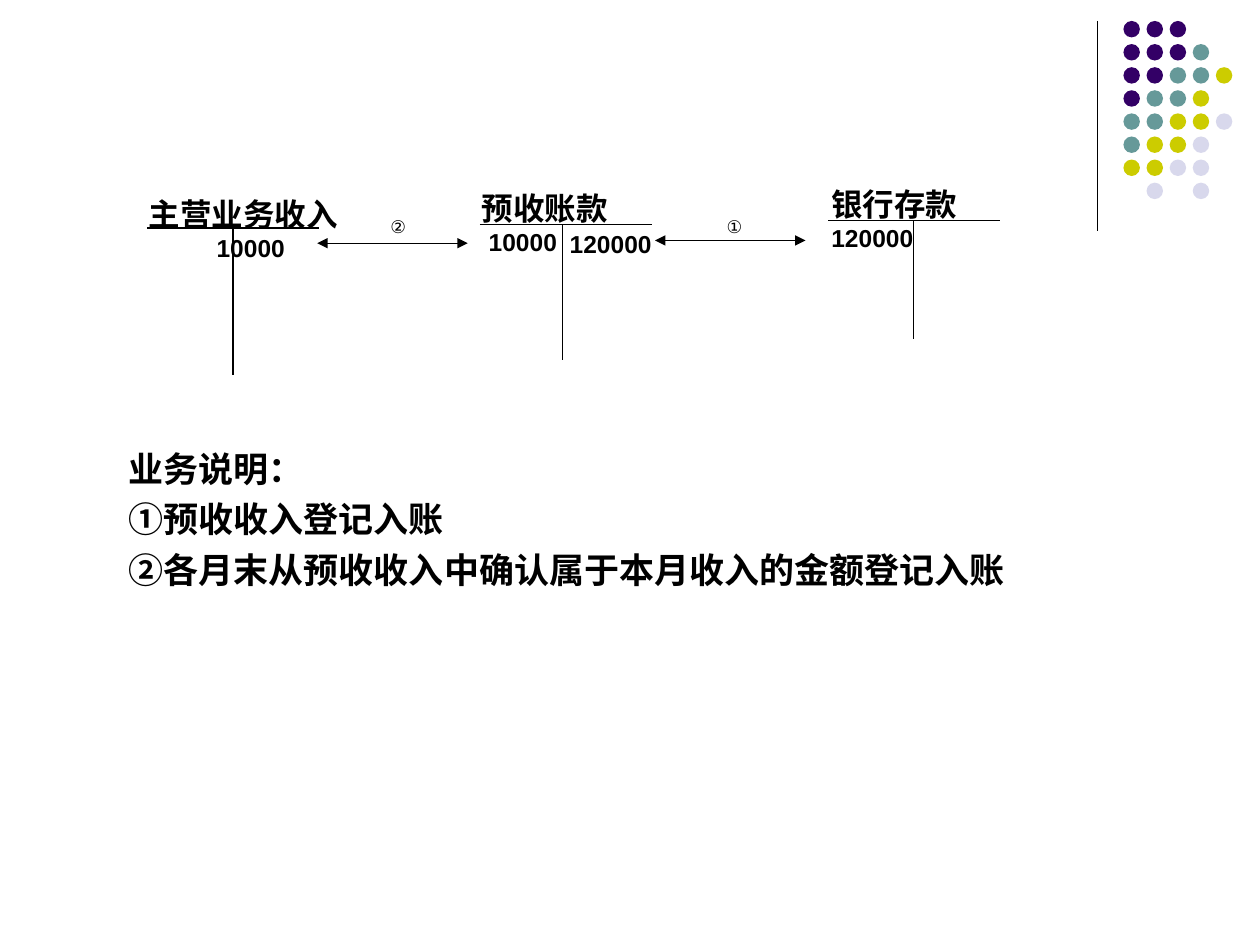
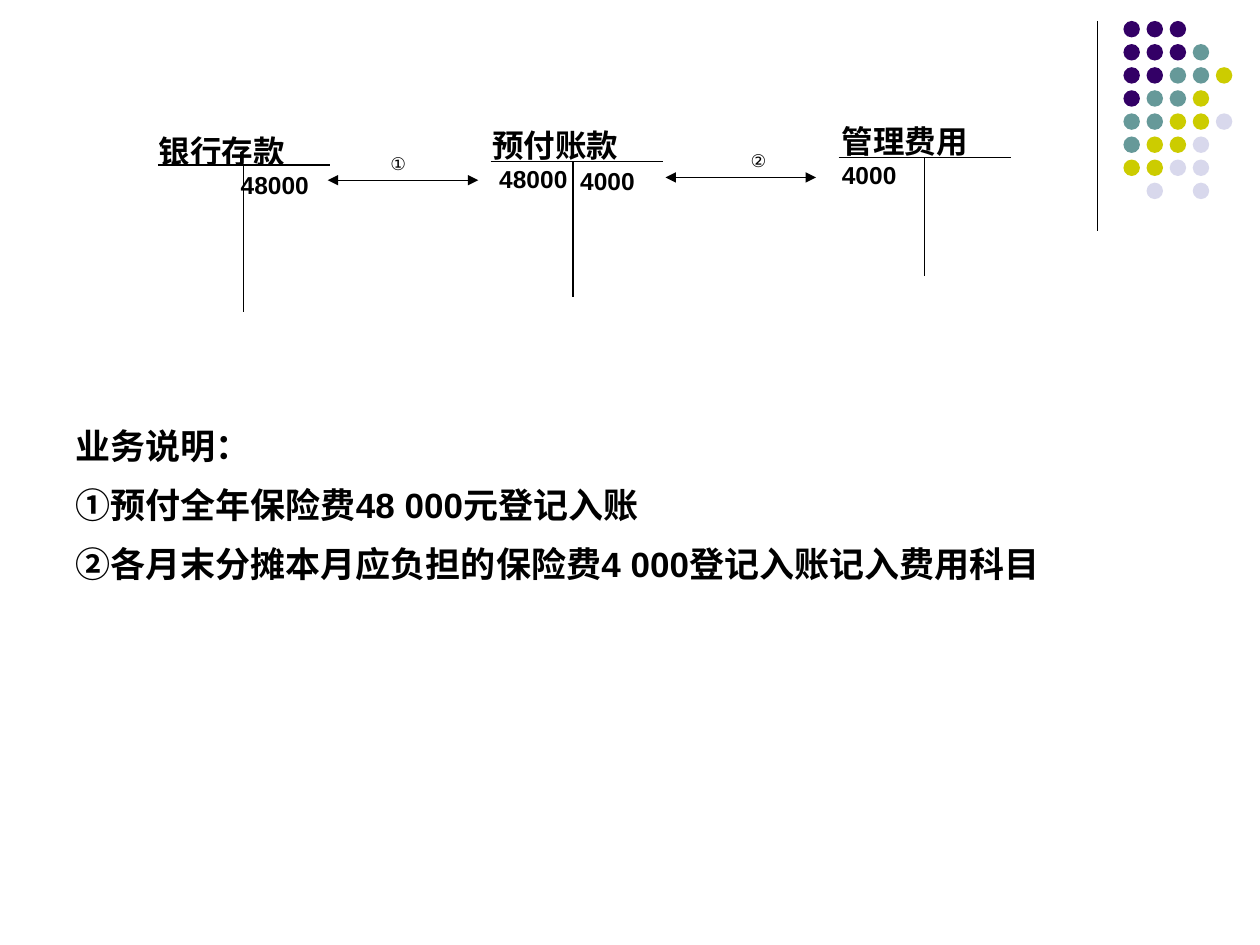
from lxml import etree
from pptx import Presentation
from pptx.dml.color import RGBColor
from pptx.enum.shapes import MSO_CONNECTOR, MSO_SHAPE
from pptx.oxml.ns import qn
from pptx.util import Pt

STRAIGHT = MSO_CONNECTOR.STRAIGHT
OVAL = MSO_SHAPE.OVAL

FONT = "Arial"
BLACK = RGBColor(0x00, 0x00, 0x00)
DOT_COLOURS = {
    "P": RGBColor(0x33, 0x00, 0x66),
    "T": RGBColor(0x66, 0x99, 0x99),
    "Y": RGBColor(0xCC, 0xCC, 0x00),
    "L": RGBColor(0xD8, 0xD8, 0xEC),
}
DOT_ROWS = ["PPP", "PPPT", "PPTTY", "PTTY", "TTYYL", "TYYL", "YYLL", ".L.L"]
DOT_LEFT, DOT_TOP, DOT_PITCH, DOT_SIZE = 642, 12, 13.2, 9.4

# Geometry of the three T accounts and the arrows between them
ACCOUNT_PLACES = [
    {"left": 84.2, "top": 130.3, "stem_x": 49, "stem": 84.2,
     "outdent": 6.4, "rise": 22.3, "height": 79},
    {"left": 274.3, "top": 128.2, "stem_x": 47.2, "stem": 77.8,
     "outdent": 6, "rise": 23.8, "height": 113},
    {"left": 473.2, "top": 126, "stem_x": 49, "stem": 67.7,
     "outdent": 5.2, "rise": 23.8, "height": 46},
]
BAR_WIDTH, BOX_WIDTH = 98.3, 141
CREDIT_X, CREDIT_RISE, CREDIT_WIDTH, CREDIT_HEIGHT = 44.2, 0.6, 66, 24
ARROWS = [(181.3, 139), (374.3, 137.4)]
ARROW_LENGTH = 86

# Each account: name, first amount, its indent, and a second amount on the
# credit side where there is one
SLIDES = [
    {
        "shift": (0, 0),
        "accounts": [
            ("主营业务收入", "10000", 38.9),
            ("预收账款", "10000", 3.9, "120000"),
            ("银行存款", "120000", 0),
        ],
        "marks": [("②", 216, 120.2), ("①", 408.2, 120.2)],
        "notes": ["业务说明：", "①预收收入登记入账",
                  "②各月末从预收收入中确认属于本月收入的金额登记入账"],
        "notes_box": (66.4, 252, 546, 174),
        "line_spacing": 1.0,
    },
    {
        "shift": (6, -36),
        "accounts": [
            ("银行存款", "48000", 46.7),
            ("预付账款", "48000", 3.9, "4000"),
            ("管理费用", "4000", 0),
        ],
        "marks": [("①", 216, 84.2), ("②", 421.9, 82.4)],
        "notes": ["业务说明：", "①预付全年保险费48 000元登记入账",
                  "②各月末分摊本月应负担的保险费4 000登记入账记入费用科目"],
        "notes_box": (36, 234, 648, 174),
        "line_spacing": 1.2,
    },
]


def add_line(slide, x1, y1, x2, y2, arrows=False):
    line = slide.shapes.add_connector(STRAIGHT, Pt(x1), Pt(y1), Pt(x2), Pt(y2))
    line.line.color.rgb = BLACK
    line.line.width = Pt(0.75)
    if arrows:
        outline = line.line._get_or_add_ln()
        for end in ("a:headEnd", "a:tailEnd"):
            etree.SubElement(outline, qn(end), type="triangle")
    etree.SubElement(line._element.spPr, qn("a:effectLst"))


def add_text(slide, left, top, width, height, lines, bold=True):
    """Add a text box; lines holds (text, size) pairs. Return its paragraphs."""
    box = slide.shapes.add_textbox(Pt(left), Pt(top), Pt(width), Pt(height))
    frame = box.text_frame
    frame.word_wrap = True
    frame.text = "\n".join(text for text, size in lines)
    for para, (text, size) in zip(frame.paragraphs, lines):
        for span in para.runs:
            span.font.name = FONT
            span.font.size = Pt(size)
            span.font.bold = bold
            span.font.color.rgb = BLACK
    return frame.paragraphs


def indent(para, left, first=0):
    properties = para._p.get_or_add_pPr()
    properties.set("marL", str(Pt(left)))
    properties.set("indent", str(Pt(first)))


def add_corner_dots(slide):
    add_line(slide, 627, 12, 627, 132)
    for row, codes in enumerate(DOT_ROWS):
        for column, code in enumerate(codes):
            if code not in DOT_COLOURS:
                continue
            dot = slide.shapes.add_shape(
                OVAL, Pt(DOT_LEFT + column * DOT_PITCH),
                Pt(DOT_TOP + row * DOT_PITCH), Pt(DOT_SIZE), Pt(DOT_SIZE))
            dot.shadow.inherit = False
            dot.fill.solid()
            dot.fill.fore_color.rgb = DOT_COLOURS[code]
            dot.line.fill.background()


def add_account(slide, place, shift, name, amount, amount_indent, credit=None):
    left, top = place["left"] + shift[0], place["top"] + shift[1]
    paras = add_text(slide, left - place["outdent"], top - place["rise"],
                     BOX_WIDTH, place["height"], [(name, 18), (amount, 14)])
    indent(paras[1], amount_indent)
    if credit:
        add_text(slide, left + CREDIT_X, top - CREDIT_RISE,
                 CREDIT_WIDTH, CREDIT_HEIGHT, [(credit, 14)])
    add_line(slide, left, top, left + BAR_WIDTH, top)
    stem_x = left + place["stem_x"]
    add_line(slide, stem_x, top, stem_x, top + place["stem"])


def add_notes(slide, box, notes, line_spacing):
    for para in add_text(slide, *box, [(note, 20) for note in notes]):
        indent(para, 27, -27)
        para.space_before = Pt(5)
        para.line_spacing = line_spacing


def main():
    deck = Presentation()
    deck.slide_width, deck.slide_height = Pt(720), Pt(540)
    for content in SLIDES:
        slide = deck.slides.add_slide(deck.slide_layouts[6])
        shift = content["shift"]
        add_corner_dots(slide)
        add_notes(slide, content["notes_box"], content["notes"],
                  content["line_spacing"])
        for place, account in zip(ACCOUNT_PLACES, content["accounts"]):
            add_account(slide, place, shift, *account)
        for x, y in ARROWS:
            left, top = x + shift[0], y + shift[1]
            add_line(slide, left, top, left + ARROW_LENGTH, top, arrows=True)
        for mark, left, top in content["marks"]:
            add_text(slide, left, top, 19.4, 19.4, [(mark, 10)], bold=False)
    deck.save("out.pptx")


if __name__ == "__main__":
    main()
